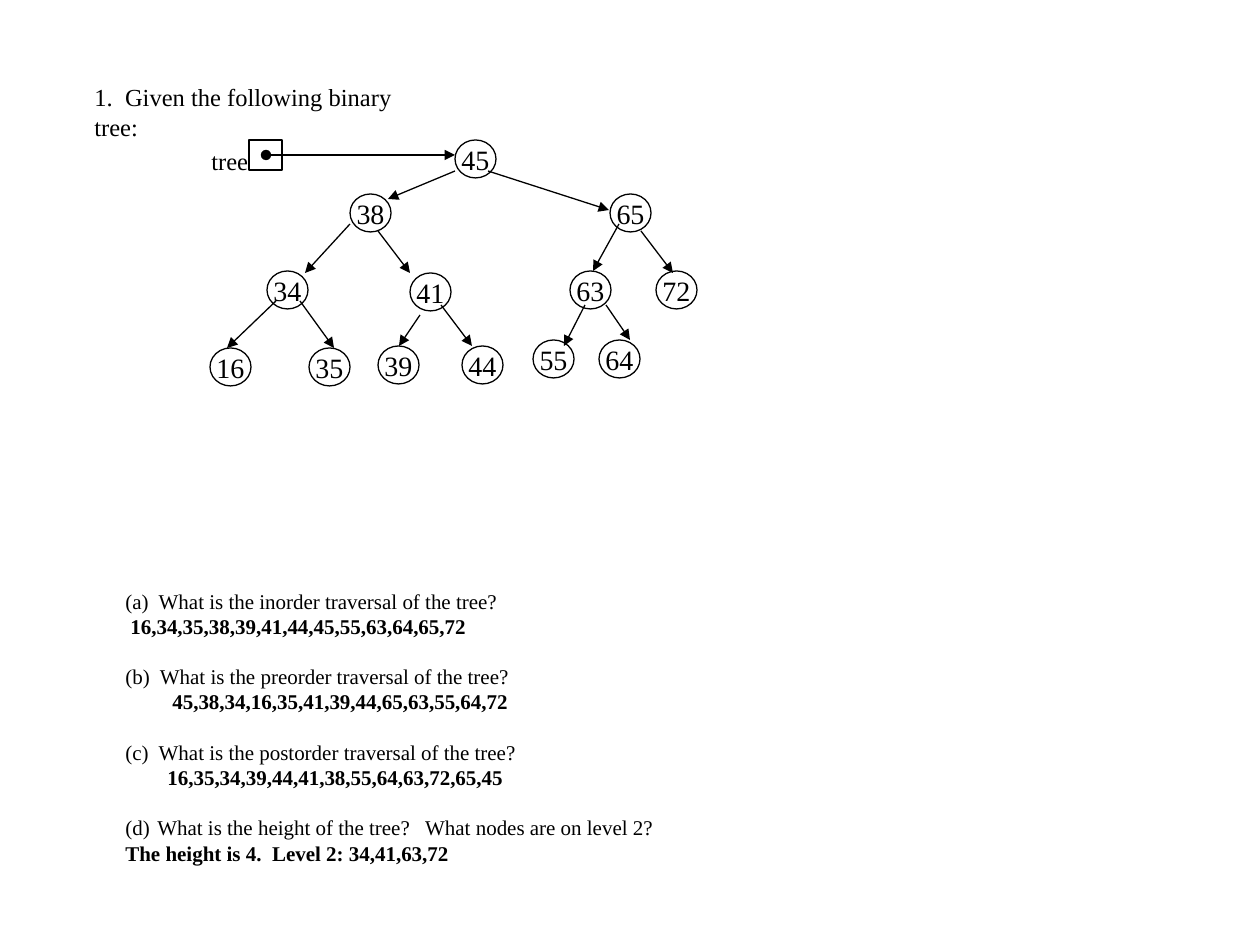
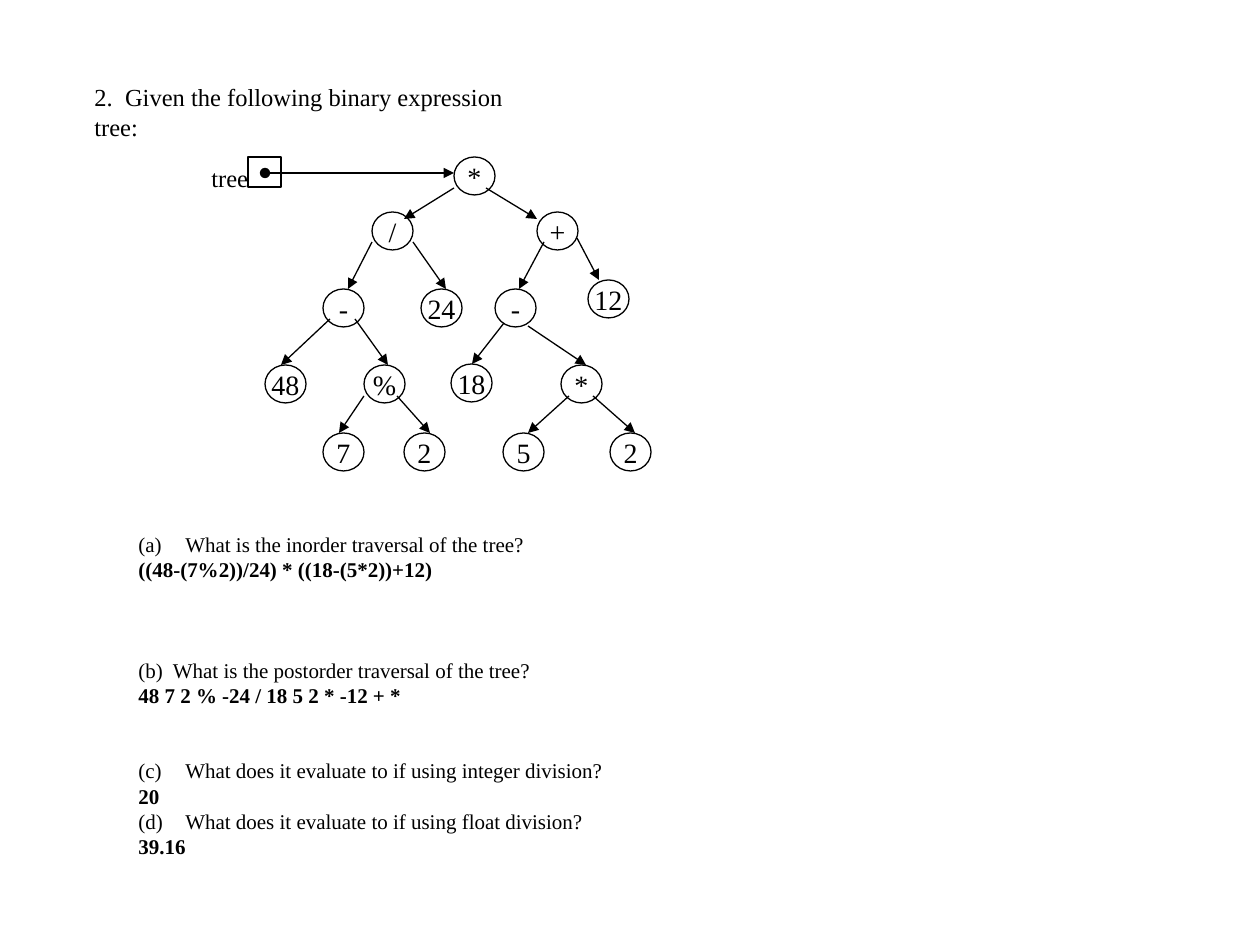
from lxml.etree import SubElement
from pptx import Presentation
from pptx.dml.color import RGBColor
from pptx.enum.shapes import MSO_CONNECTOR, MSO_SHAPE
from pptx.enum.text import MSO_ANCHOR, PP_ALIGN
from pptx.oxml.ns import qn
from pptx.util import Emu, Pt

SCALE = 914400 / 126
INK = "000000"
FONT = "Times New Roman"
HEADING_SIZE, NODE_SIZE, ANSWER_SIZE = 14, 16, 12
NODE_WIDTH, NODE_HEIGHT = 41, 38
POINTER_WIDTH, POINTER_HEIGHT = 33, 30
LINE_PITCH = 14.4

# Node: label, left, top, start and end of the arrow that leads to it.
# Question: number (None when typed), hang, text, answer, answer indent, gap lines.
EXERCISES = [
    {
        "heading": ("1.  Given the following binary tree:", 372),
        "pointer": (249, 140),
        "nodes": [
            ("45", 455, 140, (266, 155), (455, 155)),
            ("38", 350, 194, (455, 171), (388, 199)),
            ("65", 610, 194, (488, 171), (609, 210)),
            ("34", 267, 271, (350, 224), (305, 273)),
            ("41", 410, 273, (378, 231), (410, 273)),
            ("63", 570, 271, (619, 224), (593, 271)),
            ("72", 656, 271, (641, 231), (673, 273)),
            ("16", 210, 348, (276, 301), (227, 348)),
            ("35", 309, 348, (300, 301), (334, 348)),
            ("39", 378, 346, (420, 315), (399, 346)),
            ("44", 462, 346, (441, 305), (472, 346)),
            ("55", 533, 340, (585, 305), (564, 346)),
            ("64", 599, 340, (606, 305), (630, 340)),
        ],
        "questions_box": (113, 582, 667, 292),
        "questions": [
            (None, 0, "(a)  What is the inorder traversal of the tree?",
             "16,34,35,38,39,41,44,45,55,63,64,65,72", 5, 1),
            (None, 0, "(b)  What is the preorder traversal of the tree?",
             "45,38,34,16,35,41,39,44,65,63,55,64,72", 47, 1),
            (None, 0, "(c)  What is the postorder traversal of the tree?",
             "16,35,34,39,44,41,38,55,64,63,72,65,45", 42, 1),
            (4, 32, "What is the height of the tree?   What nodes are on level 2?",
             "The height is 4.  Level 2: 34,41,63,72", 0, 0),
        ],
    },
    {
        "heading": ("2.  Given the following binary expression tree:", 483),
        "pointer": (248, 157),
        "nodes": [
            ("*", 454, 157, (265, 173), (454, 173)),
            ("/", 372, 212, (454, 188), (404, 219)),
            ("+", 537, 212, (486, 188), (537, 219)),
            ("-", 323, 289, (372, 242), (348, 289)),
            ("24", 421, 289, (413, 242), (446, 289)),
            ("-", 495, 289, (544, 242), (519, 289)),
            ("12", 588, 280, (577, 238), (599, 280)),
            ("48", 265, 365, (330, 319), (281, 365)),
            ("%", 364, 365, (355, 319), (388, 365)),
            ("18", 451, 364, (504, 323), (472, 364)),
            ("*", 561, 365, (528, 326), (586, 365)),
            ("7", 323, 433, (364, 396), (339, 433)),
            ("2", 404, 433, (397, 396), (430, 433)),
            ("5", 503, 433, (569, 396), (528, 433)),
            ("2", 610, 433, (593, 396), (635, 433)),
        ],
        "questions_box": (126, 525, 496, 394),
        "questions": [
            (1, 47, "What is the inorder traversal of the tree?",
             "((48-(7%2))/24) * ((18-(5*2))+12)", 0, 3),
            (None, 0, "(b)  What is the postorder traversal of the tree?",
             "48 7 2 % -24 / 18 5 2 * -12 + *", 0, 2),
            (3, 47, "What does it evaluate to if using integer division?", "20", 0, 0),
            (4, 47, "What does it evaluate to if using float division?", "39.16", 0, 0),
        ],
    },
]


def px(length):
    return Emu(round(length * SCALE))


def color(hex_code):
    return RGBColor.from_string(hex_code)


def style(paragraph, size, bold=False):
    for run in paragraph.runs:
        run.font.name = FONT
        run.font.size = Pt(size)
        run.font.bold = bold
        run.font.color.rgb = color(INK)


def add_text(slide, text, box, size, wrap=True):
    frame = slide.shapes.add_textbox(*map(px, box)).text_frame
    frame.word_wrap = wrap
    frame.text = text
    style(frame.paragraphs[0], size)


def add_outline(slide, preset, box):
    outline = slide.shapes.add_shape(preset, *map(px, box))
    outline.shadow.inherit = False
    outline.fill.background()
    outline.line.color.rgb = color(INK)
    outline.line.width = Pt(0.75)
    return outline


def add_node(slide, label, left, top):
    node = add_outline(slide, MSO_SHAPE.OVAL, (left, top, NODE_WIDTH, NODE_HEIGHT))
    frame = node.text_frame
    frame.word_wrap = False
    frame.vertical_anchor = MSO_ANCHOR.MIDDLE
    frame.text = label
    frame.paragraphs[0].alignment = PP_ALIGN.CENTER
    style(frame.paragraphs[0], NODE_SIZE)


def add_arrow(slide, start, end, from_dot):
    arrow = slide.shapes.add_connector(MSO_CONNECTOR.STRAIGHT, *map(px, start + end))
    arrow.line.color.rgb = color(INK)
    arrow.line.width = Pt(0.75)
    line = arrow.line._get_or_add_ln()
    if from_dot:
        SubElement(line, qn("a:headEnd"), type="oval")
    SubElement(line, qn("a:tailEnd"), type="triangle")
    SubElement(arrow._element.spPr, qn("a:effectLst"))


def indent(paragraph, left, hang=0):
    properties = paragraph._p.get_or_add_pPr()
    properties.set("marL", str(px(left)))
    properties.set("indent", str(px(-hang)))
    return properties


def add_questions(slide, box, questions):
    frame = slide.shapes.add_textbox(*map(px, box)).text_frame
    frame.word_wrap = True
    for index, (number, hang, text, answer, answer_left, gap) in enumerate(questions):
        question = frame.add_paragraph() if index else frame.paragraphs[0]
        question.text = text
        properties = indent(question, hang, hang)
        if number:
            SubElement(properties, qn("a:buAutoNum"),
                       type="alphaLcParenBoth", startAt=str(number))
        style(question, ANSWER_SIZE)

        reply = frame.add_paragraph()
        reply.text = answer
        reply.space_after = Pt(gap * LINE_PITCH)
        indent(reply, answer_left)
        style(reply, ANSWER_SIZE, bold=True)


deck = Presentation()
deck.slide_width, deck.slide_height = px(1260), px(945)

for exercise in EXERCISES:
    slide = deck.slides.add_slide(deck.slide_layouts[6])
    heading, heading_width = exercise["heading"]
    add_text(slide, heading, (82, 76, heading_width, 42), HEADING_SIZE)
    add_questions(slide, exercise["questions_box"], exercise["questions"])

    left, top = exercise["pointer"]
    add_outline(slide, MSO_SHAPE.RECTANGLE, (left, top, POINTER_WIDTH, POINTER_HEIGHT))
    add_text(slide, "tree", (199, top, 62, 42), HEADING_SIZE, wrap=False)
    for position, (label, node_left, node_top, start, end) in enumerate(exercise["nodes"]):
        add_node(slide, label, node_left, node_top)
        add_arrow(slide, start, end, from_dot=position == 0)

deck.save("out.pptx")
